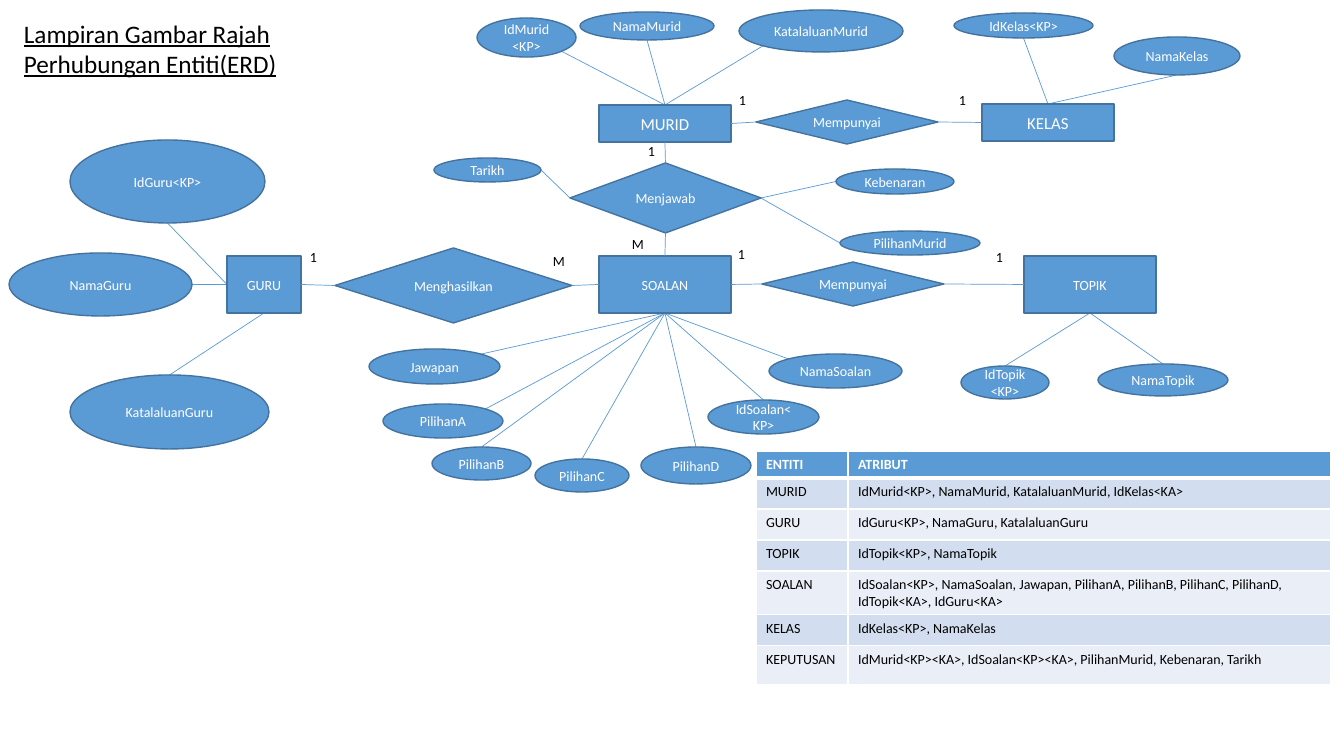
from lxml.etree import SubElement
from pptx import Presentation
from pptx.dml.color import RGBColor
from pptx.enum.shapes import MSO_CONNECTOR as Connector, MSO_SHAPE as Preset
from pptx.enum.text import MSO_ANCHOR as Anchor, PP_ALIGN as Align
from pptx.oxml.ns import qn
from pptx.util import Emu, Pt

COLORS = {"blue": "5B9BD5", "edge": "43739E", "white": "FFFFFF", "black": "000000",
          "band_dark": "D2DEEF", "band_light": "EAEFF7"}
FONT = "Calibri"
NEAR, FAR = 0.146, 0.854
SITES = {"top": (0.5, 0), "left": (0, 0.5), "bottom": (0.5, 1), "right": (1, 0.5),
         "top_left": (NEAR, NEAR), "bottom_left": (NEAR, FAR),
         "bottom_right": (FAR, FAR), "top_right": (FAR, NEAR)}
ENTITIES = {
    "GURU": ((227, 256, 74, 57), 10, [
        ("NamaGuru", (-218, -3, 183, 63), "left", "right"),
        ("KatalaluanGuru", (-157, 119, 199, 74), "bottom", "top"),
        ("IdGuru<KP>", (-157, -116, 195, 83), "left", "bottom")]),
    "SOALAN": ((599, 256, 132, 57), 10, [
        ("Jawapan", (-230, 93, 131, 35), "bottom", "top_right"),
        ("PilihanA", (-216, 148, 120, 34), "bottom", "top_right"),
        ("PilihanB", (-167, 191, 99, 33), "bottom", "top"),
        ("PilihanC", (-64, 203, 94, 33), "bottom", "top"),
        ("PilihanD", (42, 191, 110, 37), "bottom", "top"),
        ("IdSoalan<KP>", (109, 144, 111, 34), "bottom", "top"),
        ("NamaSoalan", (170, 98, 133, 34), "bottom", "top_left")]),
    "MURID": ((599, 105, 132, 37), 12, [
        ("IdMurid<KP>", (-122, -87, 99, 39), "top", "bottom_right"),
        ("NamaMurid", (-19, -93, 134, 28), "top", "bottom"),
        ("KatalaluanMurid", (140, -95, 164, 42), "top", "bottom_left")]),
    "KELAS": ((982, 104, 132, 37), 12, [
        ("IdKelas<KP>", (-28, -91, 139, 25), "top", "bottom"),
        ("NamaKelas", (132, -67, 126, 38), "top", "bottom")]),
    "TOPIK": ((1024, 256, 132, 57), 10, [
        ("IdTopik<KP>", (-63, 110, 88, 33), "bottom", "top"),
        ("NamaTopik", (74, 108, 130, 32), "bottom", "top")]),
}
RELATIONSHIPS = [
    ("Menghasilkan", (335, 248, 237, 75), [],
     [("GURU", "right", "left", "1", (-35, -4)), ("SOALAN", "left", "right", "M", (208, 0))]),
    ("Menjawab", (570, 163, 191, 70), [
        ("Tarikh", (-136, -5, 107, 24), "left", "right"),
        ("Kebenaran", (266, 6, 118, 25), "right", "left"),
        ("PilihanMurid", (270, 68, 140, 24), "right", "left")],
     [("MURID", "bottom", "top", "1", (68, -25)), ("SOALAN", "top", "bottom", "M", (52, 68))]),
    ("Mempunyai", (756, 100, 182, 44), [],
     [("MURID", "right", "left", "1", (-27, -13)), ("KELAS", "left", "right", "1", (193, -13))]),
    ("Mempunyai", (762, 262, 182, 44), [],
     [("SOALAN", "right", "left", "1", (-34, -21)), ("TOPIK", "left", "right", "1", (224, -18))]),
]
ROWS = [
    (27, "ENTITI", "ATRIBUT"),
    (31, "MURID", "IdMurid<KP>, NamaMurid, KatalaluanMurid, IdKelas<KA>"),
    (31, "GURU", "IdGuru<KP>, NamaGuru, KatalaluanGuru"),
    (31, "TOPIK", "IdTopik<KP>, NamaTopik"),
    (43, "SOALAN", "IdSoalan<KP>, NamaSoalan, Jawapan, PilihanA, PilihanB, PilihanC, "
                   "PilihanD, IdTopik<KA>, IdGuru<KA>"),
    (31, "KELAS", "IdKelas<KP>, NamaKelas"),
    (39, "KEPUTUSAN", "IdMurid<KP><KA>, IdSoalan<KP><KA>, PilihanMurid, Kebenaran, Tarikh"),
]


def px(pixels):
    """Turn pixels into EMU."""
    return Emu(round(pixels * 914400 / 100.8))


def rgb(name):
    """Look up a named colour."""
    return RGBColor.from_string(COLORS[name])


def shift(box, offset):
    """Place a box given relative to another box."""
    return (box[0] + offset[0], box[1] + offset[1], *offset[2:])


def write(frame, text, size, color, bold=False, underline=False):
    """Add one formatted run to the first paragraph of a frame."""
    frame.word_wrap = True
    paragraph = frame.paragraphs[0]
    run = paragraph.add_run()
    run.text = text
    font = run.font
    font.name, font.size, font.bold, font.underline = FONT, Pt(size), bold, underline
    font.color.rgb = rgb(color)
    return paragraph


def add_node(slide, preset, box, text, size=10):
    """Draw one filled shape with a centred name."""
    shape = slide.shapes.add_shape(preset, *map(px, box))
    shape.shadow.inherit = False
    shape.fill.solid()
    shape.fill.fore_color.rgb = rgb("blue")
    shape.line.color.rgb = rgb("edge")
    shape.line.width = Pt(1)
    shape.text_frame.vertical_anchor = Anchor.MIDDLE
    write(shape.text_frame, text, size, "white").alignment = Align.CENTER


def add_text(slide, box, text, size, underline=False):
    """Draw a plain text box."""
    frame = slide.shapes.add_textbox(*map(px, box)).text_frame
    write(frame, text, size, "black", underline=underline)


def add_link(slide, start_box, start_site, end_box, end_site):
    """Join the named sites of two boxes with a thin line."""
    points = []
    for (left, top, width, height), site in ((start_box, start_site), (end_box, end_site)):
        across, down = SITES[site]
        points += [px(left + across * width), px(top + down * height)]
    line = slide.shapes.add_connector(Connector.STRAIGHT, *points)
    line.line.color.rgb = rgb("blue")
    line.line.width = Pt(0.5)
    SubElement(line._element.spPr, qn("a:effectLst"))


def add_cluster(slide, box, preset, name, size, attributes):
    """Draw an entity or relationship with its linked attributes."""
    for text, offset, site, attribute_site in attributes:
        attribute_box = shift(box, offset)
        add_link(slide, box, site, attribute_box, attribute_site)
        add_node(slide, Preset.OVAL, attribute_box, text)
    add_node(slide, preset, box, name, size)


def add_relationship(slide, box, name, attributes, ends):
    """Draw a relationship, its links to entities and their cardinalities."""
    add_cluster(slide, box, Preset.DIAMOND, name, 10, attributes)
    for entity, entity_site, site, cardinality, offset in ends:
        add_link(slide, ENTITIES[entity][0], entity_site, box, site)
        add_text(slide, shift(box, (*offset, 32, 27)), cardinality, 10)


def style_cell(cell, text, row):
    """Fill, border and write one table cell."""
    header = row == 0
    properties = cell._tc.get_or_add_tcPr()
    for side in "LRTB":
        thick = (header and side == "B") or (row == 1 and side == "T")
        border = SubElement(properties, qn(f"a:ln{side}"), w=str(Pt(3 if thick else 1)))
        SubElement(SubElement(border, qn("a:solidFill")), qn("a:srgbClr"), val=COLORS["white"])
    cell.fill.solid()
    cell.fill.fore_color.rgb = rgb("blue" if header else "band_dark" if row % 2 else "band_light")
    write(cell.text_frame, text, 10, "white" if header else "black", bold=header)


def add_entity_table(slide, box):
    """Draw the table of entities and their attributes."""
    table = slide.shapes.add_table(len(ROWS), 2, *map(px, box)).table
    name_width = 92
    for column, width in zip(table.columns, (name_width, box[2] - name_width)):
        column.width = px(width)
    for index, (height, *texts) in enumerate(ROWS):
        table.rows[index].height = px(height)
        for column, text in enumerate(texts):
            style_cell(table.cell(index, column), text, index)


def build():
    """Build the slide and save it."""
    presentation = Presentation()
    presentation.slide_width, presentation.slide_height = px(1344), px(756)
    slide = presentation.slides.add_slide(presentation.slide_layouts[6])
    add_text(slide, (14, 13, 371, 72), "Lampiran Gambar Rajah Perhubungan Entiti(ERD)", 18, True)
    for name, (box, size, attributes) in ENTITIES.items():
        add_cluster(slide, box, Preset.RECTANGLE, name, size, attributes)
    for name, box, attributes, ends in RELATIONSHIPS:
        add_relationship(slide, box, name, attributes, ends)
    add_entity_table(slide, (756, 451, 575, 233))
    presentation.save("out.pptx")


build()
